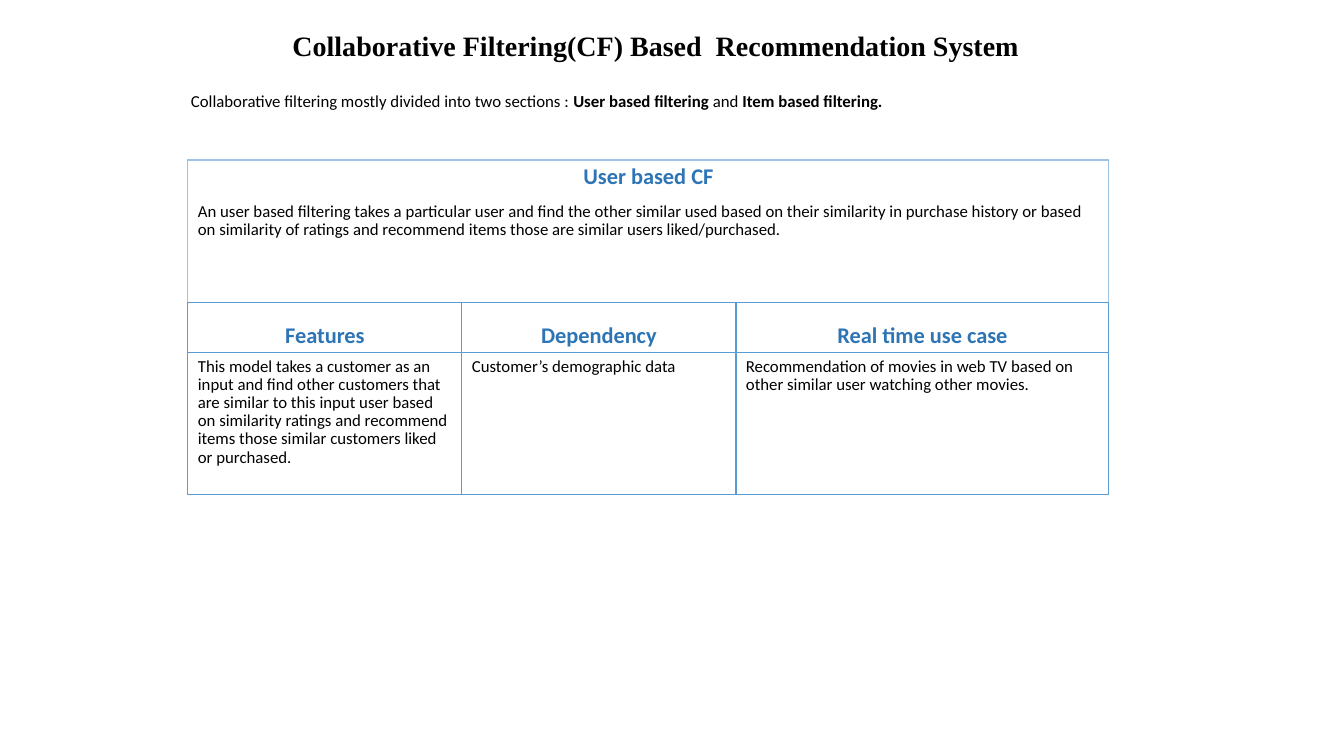
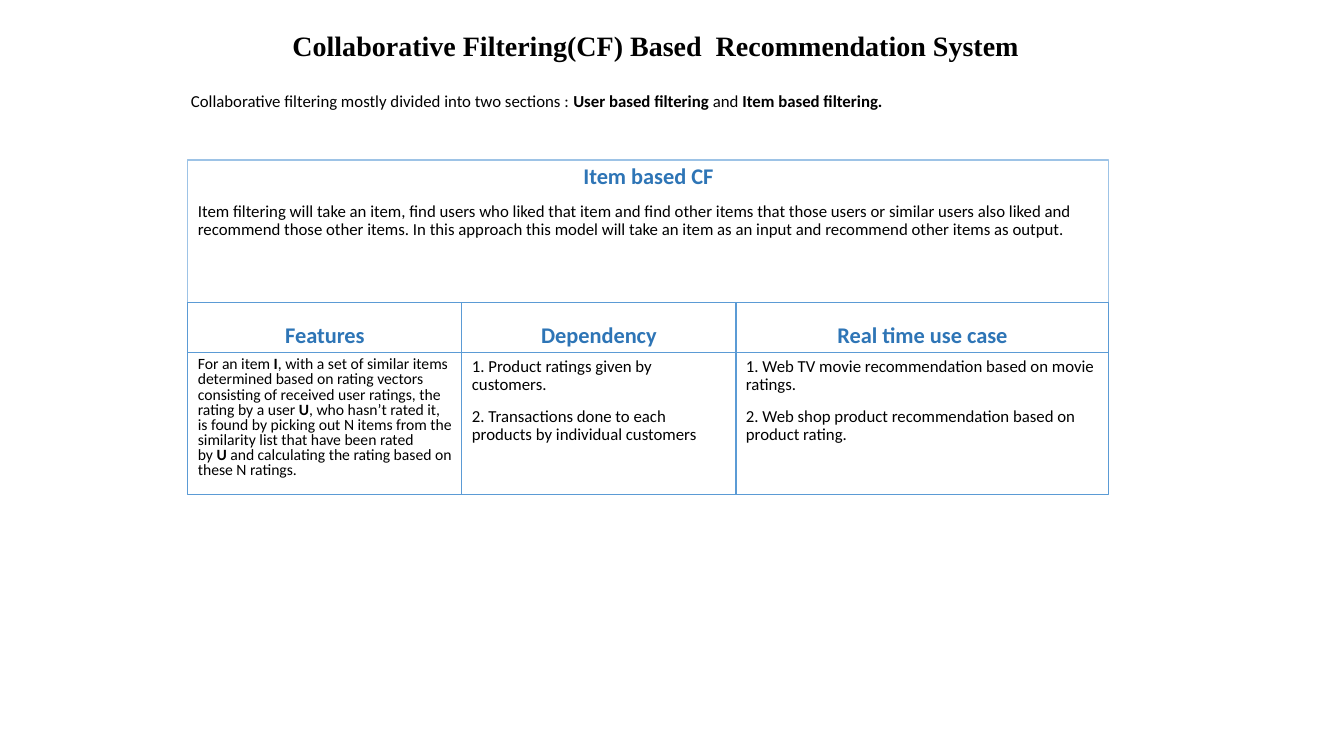
from pptx import Presentation
from pptx.dml.color import RGBColor
from pptx.enum.shapes import MSO_SHAPE as Shape
from pptx.enum.text import MSO_ANCHOR as Anchor, PP_ALIGN as Align
from pptx.util import Emu, Pt

BLACK = RGBColor(0x00, 0x00, 0x00)
HEADING_BLUE = RGBColor(0x2E, 0x75, 0xB6)
GRID_BLUE = RGBColor(0x5B, 0x9B, 0xD5)
PALE_BLUE = RGBColor(0x9D, 0xC3, 0xE6)
BODY_FONT, TITLE_FONT = "Calibri", "Times New Roman"
BODY_SIZE, HEADING_SIZE, TITLE_SIZE = 12, 16, 20

SLIDE_SIZE = (1344, 756)
TITLE_BOX = (182, 27, 948, 40)
INTRO_BOX = (181, 87, 1008, 30)
SUMMARY_BOX = (188, 160, 921, 143)
GRID_BOX = (188, 303, 921, 192)
HEADING_HEIGHT = 50
COLUMN_WIDTHS = (274, 274, 373)

TITLE = "Collaborative Filtering(CF) Based  Recommendation System"
INTRO = ("Collaborative filtering mostly divided into two sections : "
         "**User based filtering** and **Item based filtering.**")
HEADINGS = ("Features", "Dependency", "Real time use case")

USER_BASED = {
    "name": "User based CF",
    "summary": "An user based filtering takes a particular user and find the other "
               "similar used based on their similarity in purchase history or based on "
               "similarity of ratings and recommend items those are similar users "
               "liked/purchased.",
    "details": (
        ["This model takes a customer as an input and find other customers that are "
         "similar to this input user based on similarity ratings and recommend items "
         "those similar customers liked or purchased."],
        ["Customer’s demographic data"],
        ["Recommendation of movies in web TV based on other similar user watching "
         "other movies."],
    ),
}
ITEM_BASED = {
    "name": "Item based CF",
    "summary": "Item filtering will take an item, find users who liked that item and "
               "find other items that those users or similar users also liked and "
               "recommend those other items. In this approach this model will take an "
               "item as an input and recommend other items as output.",
    "details": (
        ["For an item\u00a0**I**, with a set of similar items determined based on rating "
         "vectors consisting of received user ratings, the rating by a user\u00a0**U**, "
         "who hasn’t rated it, is found by picking out N items from the similarity list "
         "that have been rated by\u00a0**U**\u00a0and calculating the rating based on "
         "these N ratings."],
        ["1. Product ratings given by customers.",
         "2. Transactions done to each products by individual customers"],
        ["1. Web TV movie recommendation based on movie ratings.",
         "2. Web shop product recommendation based on product rating."],
    ),
    "features_style": {"size": 11.2, "spacing": 0.8},
}


def px(length):
    """Turn pixels into EMU."""
    return Emu(round(length * 914400 / 100.8))


def write(paragraph, text, size=BODY_SIZE, font=BODY_FONT, color=BLACK,
          bold=False, align=Align.LEFT, spacing=0.9, before=10):
    """Fill a paragraph; parts between double asterisks become bold."""
    paragraph.alignment = align
    paragraph.line_spacing = spacing
    paragraph.space_before = Pt(before)
    paragraph.font.size = Pt(size)
    paragraph.font.name = font
    paragraph.font.color.rgb = color
    paragraph.font.bold = bold
    for index, part in enumerate(text.split("**")):
        if part:
            run = paragraph.add_run()
            run.text = part
            if index % 2:
                run.font.bold = True


def write_heading(paragraph, text):
    """Fill a paragraph as a centred blue heading."""
    write(paragraph, text, HEADING_SIZE, color=HEADING_BLUE, bold=True,
          align=Align.CENTER)


def add_line_of_text(slide, box, text, **style):
    """Add a text box holding one vertically centred paragraph."""
    frame = slide.shapes.add_textbox(*map(px, box)).text_frame
    frame.word_wrap = True
    frame.vertical_anchor = Anchor.MIDDLE
    write(frame.paragraphs[0], text, before=0, **style)


def add_panel(slide, box, outline, anchor=Anchor.TOP):
    """Add an outlined rectangle without fill and return its text frame."""
    panel = slide.shapes.add_shape(Shape.RECTANGLE, *map(px, box))
    panel.shadow.inherit = False
    panel.fill.background()
    panel.line.color.rgb = outline
    panel.line.width = Pt(0.75)
    frame = panel.text_frame
    frame.word_wrap = True
    frame.vertical_anchor = anchor
    return frame


def add_summary(slide, box, method):
    """Add the panel with the method's name and its description."""
    frame = add_panel(slide, box, PALE_BLUE)
    write_heading(frame.paragraphs[0], method["name"])
    write(frame.add_paragraph(), method["summary"])


def add_column(slide, box, heading, points, **style):
    """Add a heading cell with a detail cell below it."""
    left, top, width, height = box
    heading_frame = add_panel(slide, (left, top, width, HEADING_HEIGHT), GRID_BLUE,
                              Anchor.BOTTOM)
    write_heading(heading_frame.paragraphs[0], heading)
    detail_frame = add_panel(slide, (left, top + HEADING_HEIGHT, width,
                                     height - HEADING_HEIGHT), GRID_BLUE)
    for index, point in enumerate(points):
        paragraph = detail_frame.add_paragraph() if index else detail_frame.paragraphs[0]
        write(paragraph, point, **style)


def add_grid(slide, box, method):
    """Add the three columns side by side."""
    left, top, _, height = box
    styles = (method.get("features_style", {}), {}, {})
    for heading, width, points, style in zip(HEADINGS, COLUMN_WIDTHS,
                                             method["details"], styles):
        add_column(slide, (left, top, width, height), heading, points, **style)
        left += width


def add_method_slide(deck, method):
    """Add one slide describing a filtering method."""
    slide = deck.slides.add_slide(deck.slide_layouts[6])
    add_line_of_text(slide, TITLE_BOX, TITLE, size=TITLE_SIZE, font=TITLE_FONT,
                     bold=True, align=Align.CENTER)
    add_line_of_text(slide, INTRO_BOX, INTRO)
    add_summary(slide, SUMMARY_BOX, method)
    add_grid(slide, GRID_BOX, method)


deck = Presentation()
deck.slide_width, deck.slide_height = map(px, SLIDE_SIZE)
for method in (USER_BASED, ITEM_BASED):
    add_method_slide(deck, method)
deck.save("out.pptx")
